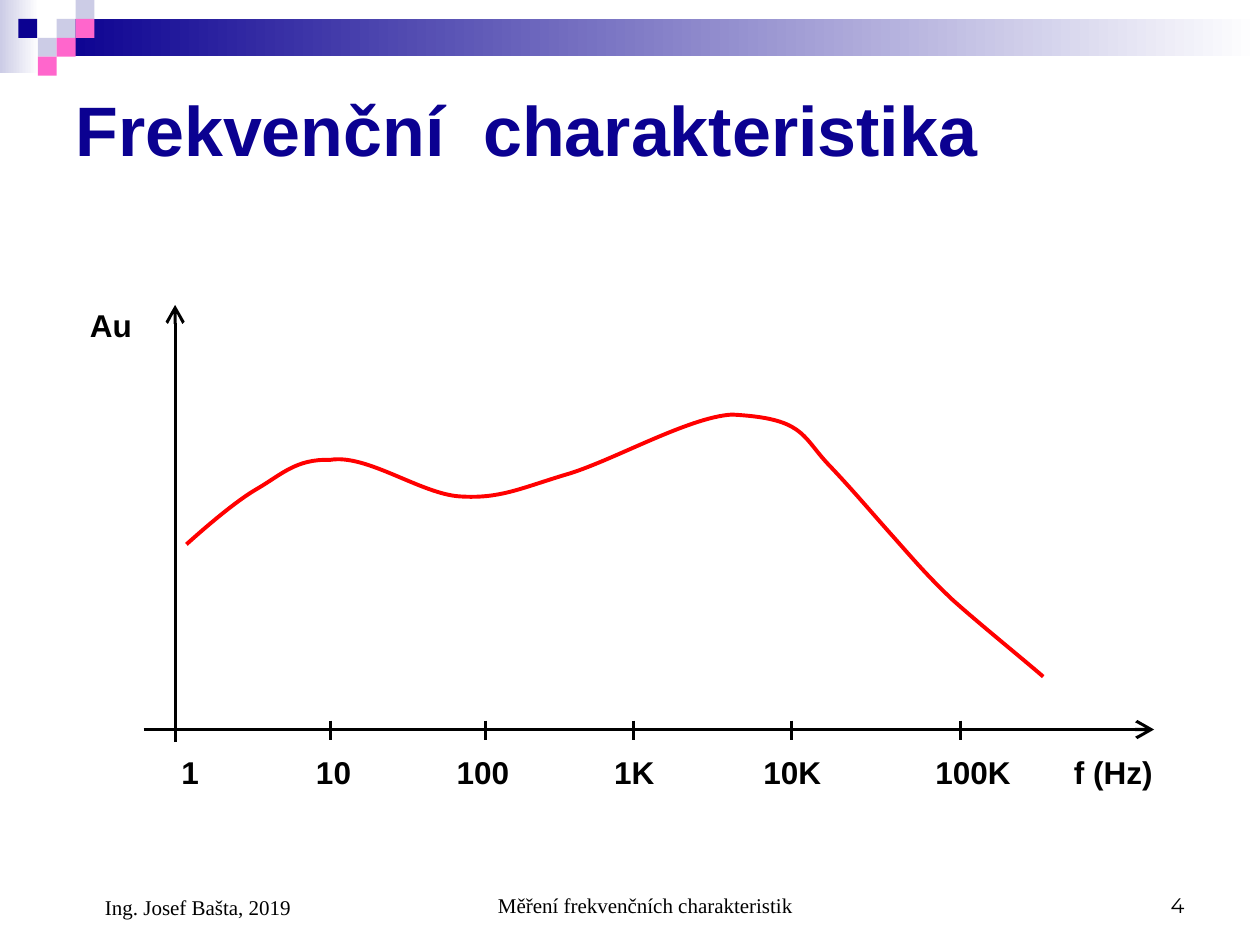
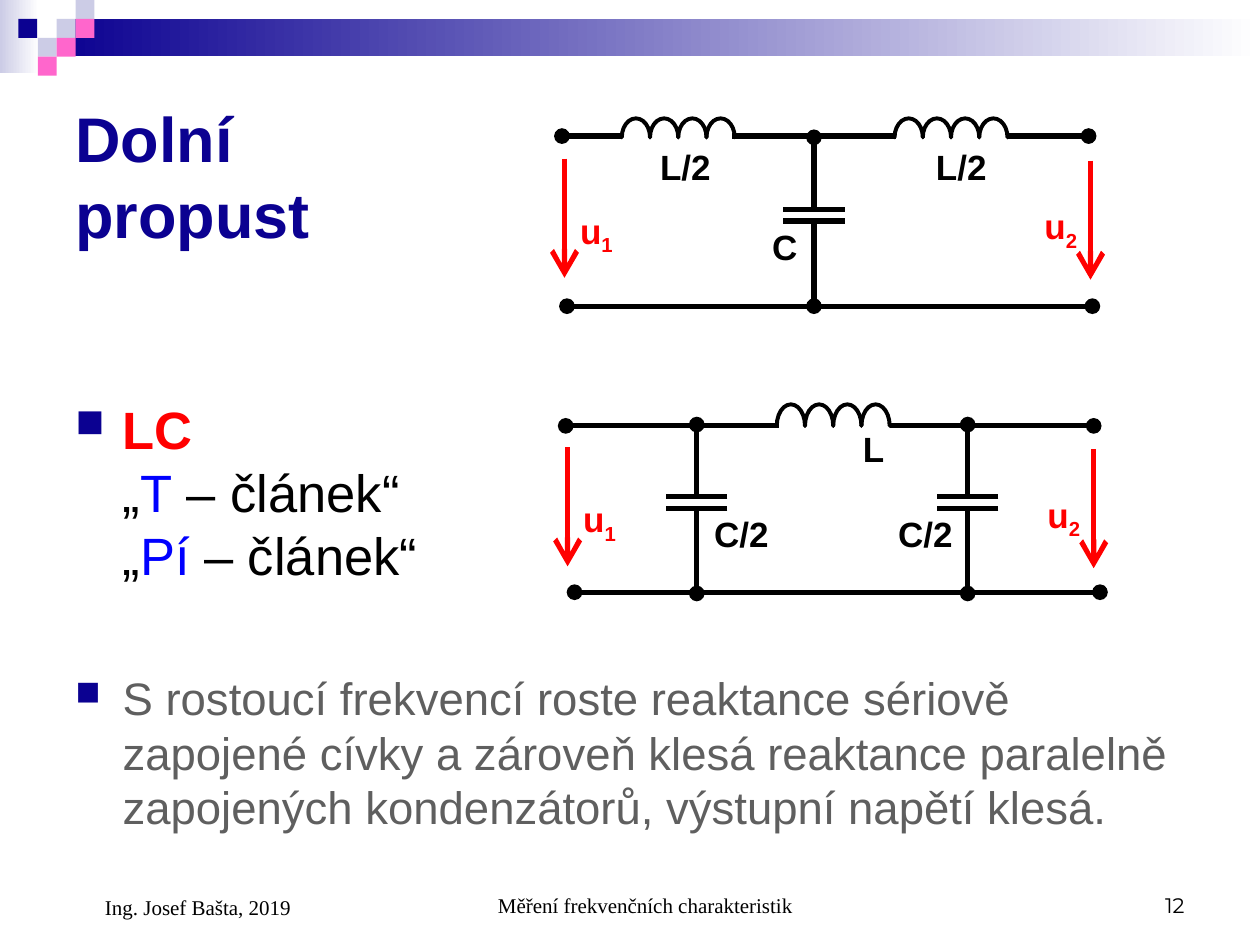
import pptx
import pptx.dml.color
import pptx.enum.shapes
import pptx.enum.text
import pptx.oxml.ns
import pptx.util
from lxml import etree

SLIDE_WIDTH, SLIDE_HEIGHT = pptx.util.Inches(10), pptx.util.Inches(7.5)
COLUMN, ROW = SLIDE_WIDTH / 100, SLIDE_HEIGHT / 75
NAVY, LILAC, PINK, COIL_FILL = "0B0191", "CCCCE6", "FF66CC", "CBBDFF"
BLACK, WHITE, RED, BLUE, GREY = "000000", "FFFFFF", "FF0000", "0000FF", "5F5F5F"
SHAPES = pptx.enum.shapes.MSO_SHAPE
ANCHOR = pptx.enum.text.MSO_ANCHOR
ALIGN = pptx.enum.text.PP_ALIGN
COIL_PITCH = 2.24


def color(hex_value):
    """Turn a hex string into a colour."""
    return pptx.dml.color.RGBColor.from_string(hex_value)


def across(columns):
    """Convert grid columns to a length."""
    return pptx.util.Emu(round(columns * COLUMN))


def down(rows):
    """Convert grid rows to a length."""
    return pptx.util.Emu(round(rows * ROW))


def box(column, row, columns, rows):
    """Convert a grid box to left, top, width and height."""
    return across(column), down(row), across(columns), down(rows)


def apply_format(target, values):
    """Set each attribute named in a dict of format values."""
    for name, value in values.items():
        setattr(target, name, value)


def add_element(parent, tag, **attributes):
    """Append a DrawingML element to a parent."""
    element = etree.SubElement(parent, pptx.oxml.ns.qn(tag))
    for name, value in attributes.items():
        element.set(name, str(value))
    return element


def add_block(slide, area, fill, fade_to=None):
    """Draw a borderless rectangle, plain or fading to the right."""
    shape = slide.shapes.add_shape(SHAPES.RECTANGLE, *box(*area))
    shape.shadow.inherit = False
    shape.line.fill.background()
    if fade_to:
        shape.fill.gradient()
        shape.fill.gradient_angle = 0
        for stop, tone in zip(shape.fill.gradient_stops, (fill, fade_to)):
            stop.color.rgb = color(tone)
    else:
        shape.fill.solid()
        shape.fill.fore_color.rgb = color(fill)


def add_bullet(paragraph):
    """Give a paragraph a hanging square bullet."""
    properties = paragraph._p.get_or_add_pPr()
    properties.set("marL", str(across(3.75)))
    properties.set("indent", str(-across(3.75)))
    add_element(add_element(properties, "a:buClr"), "a:srgbClr", val=NAVY)
    add_element(properties, "a:buSzPct", val=75000)
    add_element(properties, "a:buFont", typeface="Wingdings", charset=2)
    add_element(properties, "a:buChar", char="n")


def add_text(slide, area, runs, size, tone=BLACK, bold=False, font="Arial",
             anchor=ANCHOR.TOP, align=ALIGN.LEFT, indent=0, bullet=False):
    """Write one paragraph; runs are strings or (text, overrides) pairs."""
    frame = slide.shapes.add_textbox(*box(*area)).text_frame
    apply_format(frame, {"word_wrap": True, "vertical_anchor": anchor})
    paragraph = frame.paragraphs[0]
    paragraph.alignment = align
    if indent:
        paragraph._p.get_or_add_pPr().set("marL", str(across(indent)))
    if bullet:
        add_bullet(paragraph)
    for item in runs:
        text, changes = (item, {}) if isinstance(item, str) else item
        if changes.get("new_line"):
            paragraph.add_line_break()
        run = paragraph.add_run()
        run.text = text
        apply_format(run.font, {"name": font, "size": pptx.util.Pt(size),
                                "bold": changes.get("bold", bold)})
        run.font.color.rgb = color(changes.get("tone", tone))
        if "baseline" in changes:
            run._r.get_or_add_rPr().set("baseline", changes["baseline"])


def add_line(slide, start, end, width=3, tone=BLACK, head=None, tail=None):
    """Draw a straight line with optional end marks."""
    connector = slide.shapes.add_connector(
        pptx.enum.shapes.MSO_CONNECTOR.STRAIGHT,
        across(start[0]), down(start[1]), across(end[0]), down(end[1]))
    connector.line.color.rgb = color(tone)
    connector.line.width = pptx.util.Pt(width)
    outline = connector.line._get_or_add_ln()
    for tag, mark in (("a:headEnd", head), ("a:tailEnd", tail)):
        if mark:
            size = "lg" if mark == "arrow" else "med"
            add_element(outline, tag, type=mark, w=size, len=size)
    add_element(connector._element.spPr, "a:effectLst")


def add_curve(slide, start, segments, tone, width):
    """Draw a smooth open curve from cubic Bézier segments."""
    builder = slide.shapes.build_freeform(across(start[0]), down(start[1]), scale=1.0)
    builder.add_line_segments(
        [(across(segment[4]), down(segment[5])) for segment in segments], close=False)
    curve = builder.convert_to_shape()
    straight_parts = list(curve._element.iter(pptx.oxml.ns.qn("a:lnTo")))
    for part, segment in zip(straight_parts, segments):
        bend = etree.Element(pptx.oxml.ns.qn("a:cubicBezTo"))
        for x, y in zip(segment[::2], segment[1::2]):
            add_element(bend, "a:pt", x=across(x) - curve.left, y=down(y) - curve.top)
        part.getparent().replace(part, bend)
    curve.shadow.inherit = False
    curve.fill.background()
    curve.line.color.rgb = color(tone)
    curve.line.width = pptx.util.Pt(width)


def add_coil(slide, column, row, rows):
    """Draw an inductor as four half loops."""
    for loop in range(4):
        area = box(column + loop * COIL_PITCH, row, COIL_PITCH, rows)
        arc = slide.shapes.add_shape(SHAPES.BLOCK_ARC, *area)
        for index, value in enumerate((107.89, 0.11, 0)):
            arc.adjustments[index] = value
        arc.shadow.inherit = False
        arc.fill.solid()
        arc.fill.fore_color.rgb = color(COIL_FILL)
        arc.line.color.rgb = color(BLACK)
        arc.line.width = pptx.util.Pt(2.25)


def add_capacitor(slide, column, row):
    """Draw a capacitor with its two leads around the upper plate's row."""
    for plate in (row, row + 0.95):
        add_line(slide, (column + 2.43, plate), (column - 2.43, plate))
    add_line(slide, (column, row + 7.7), (column, row + 1.1), head="oval")
    add_line(slide, (column, row - 0.2), (column, row - 5.7), tail="oval")


def add_label(slide, column, row, text, columns=6.4):
    """Name a circuit part."""
    add_text(slide, (column, row, columns, 4.4), [text], 20, bold=True)


def add_ports(slide, column, row, base_column, base_row):
    """Draw the base wire and the input and output voltage arrows."""
    add_line(slide, (base_column + 41.7, base_row), (base_column, base_row),
             head="oval", tail="oval")
    ports = (("1", 0, 0, 0.25, 3.5), ("2", 41.75, 0.15, -4.65, 3.0))
    for number, shift, drop, label_shift, label_drop in ports:
        x, y = column + shift, row + drop
        add_line(slide, (x, y), (x, y + 9.45), tone=RED, tail="arrow")
        add_text(slide, (x + label_shift, y + label_drop, 5.5, 4.8),
                 ["u", (number, {"baseline": "-25000"})], 20, RED, bold=True)


def add_page(presentation, title, title_area, title_size, number):
    """Add a slide with the shared header, title and footers."""
    slide = presentation.slides.add_slide(presentation.slide_layouts[6])
    add_block(slide, (0, 0, 3.1, 5.8), LILAC, fade_to=WHITE)
    add_block(slide, (4.5, 1.5, 95.5, 2.95), NAVY, fade_to=WHITE)
    squares = ((4.5, 1.5, LILAC), (6, 0, LILAC), (6, 1.5, PINK), (3, 3, LILAC),
               (1.45, 1.5, NAVY), (4.5, 3, PINK), (3, 4.5, PINK))
    for column, row, tone in squares:
        add_block(slide, (column, row, 1.5, 1.5), tone)
    add_text(slide, title_area, [title], title_size, NAVY, bold=True,
             anchor=ANCHOR.MIDDLE)
    footers = (
        ((34.2, 68.3, 31.7, 5), "Měření frekvenčních charakteristik",
         "Times New Roman", ALIGN.CENTER, 2.35),
        ((71.7, 68.3, 23.3, 5), number, "Montserrat", ALIGN.RIGHT, 0),
        ((5, 68.3, 23.3, 5.2), "Ing. Josef Bašta, 2019",
         "Times New Roman", ALIGN.LEFT, 2.35))
    for area, text, font, align, indent in footers:
        add_text(slide, area, [text], 12, font=font, anchor=ANCHOR.BOTTOM,
                 align=align, indent=indent)
    return slide


def add_frequency_response(slide):
    """Draw the axes, ticks, labels and gain curve."""
    add_line(slide, (11.4, 57.9), (91.6, 57.9), 1.75, tail="arrow")
    add_line(slide, (13.9, 58.9), (13.9, 24.2), 1.75, tail="arrow")
    for column in (26.25, 38.55, 50.3, 62.8, 76.25):
        add_line(slide, (column, 57.2), (column, 58.7), 1.5)
    labels = (("1", 13.4, 59.3, 4.2), ("10", 24.1, 59.3, 5),
              ("100", 35.25, 59.3, 7.7), ("1K", 47.75, 59.3, 5.5),
              ("10K", 59.6, 59.3, 7.2), ("100K", 73.25, 59.3, 8.8),
              ("f (Hz)", 84.25, 59.3, 8.8), ("Au", 6.15, 23.8, 5.6))
    for text, column, row, columns in labels:
        add_text(slide, (column, row, columns, 4), [text], 18, bold=True)
    segments = ((15.7, 42.4, 18.5, 39.9, 20.4, 38.8),
                (22.3, 37.7, 23.5, 36.4, 26.2, 36.5),
                (29.1, 36, 33.4, 39.2, 36.5, 39.4),
                (39.6, 39.6, 41.2, 38.8, 44.8, 37.7),
                (48.4, 36.7, 54.6, 33.1, 58.1, 32.9),
                (63.7, 33.2, 63.6, 34.5, 65.6, 36.7),
                (67.7, 38.9, 69.2, 40.7, 70.9, 42.6),
                (72.5, 44.4, 73.6, 45.7, 75.6, 47.6),
                (77.6, 49.4, 81.3, 52.4, 82.8, 53.7))
    add_curve(slide, (14.8, 43.2), segments, RED, 2.25)


def add_t_section(slide):
    """Draw the T circuit with two coils and one capacitor."""
    add_ports(slide, 44.8, 12.6, 45, 24.3)
    add_line(slide, (49.4, 10.8), (44.6, 10.8), tail="oval")
    add_line(slide, (71.1, 10.8), (58.1, 10.8))
    add_line(slide, (86.4, 10.8), (79.9, 10.8), head="oval")
    add_capacitor(slide, 64.6, 16.6)
    add_label(slide, 60.3, 17.4, "C", 4.6)
    for column, label_column in ((49.35, 51.4), (71, 73.3)):
        add_coil(slide, column, 9.4, 3)
        add_label(slide, label_column, 11.05, "L/2")


def add_pi_section(slide):
    """Draw the Pi circuit with one coil and two capacitors."""
    add_ports(slide, 45.05, 35.5, 45.6, 47)
    add_line(slide, (61.8, 33.8), (44.9, 33.8), tail="oval")
    add_line(slide, (86.8, 33.8), (70.6, 33.8), head="oval")
    add_coil(slide, 61.65, 32.1, 3.4)
    add_label(slide, 67.5, 33.4, "L", 4.6)
    for column, label_column in ((55.3, 55.7), (76.8, 70.3)):
        add_capacitor(slide, column, 39.4)
        add_label(slide, label_column, 40.2, "C/2", 6.7)


def main():
    """Build and save the presentation."""
    presentation = pptx.Presentation()
    apply_format(presentation, {"slide_width": SLIDE_WIDTH,
                                "slide_height": SLIDE_HEIGHT})
    response = add_page(presentation, "Frekvenční  charakteristika",
                        (5, 5, 90, 10.35), 40, "4")
    add_frequency_response(response)

    low_pass = add_page(presentation, "Dolní propust", (5, 5, 28, 17.8), 36, "12")
    add_text(low_pass, (5, 52.7, 90, 14.1), [
        "S rostoucí frekvencí roste reaktance sériově zapojené cívky a zároveň "
        "klesá reaktance paralelně zapojených kondenzátorů, výstupní napětí klesá.",
    ], 26, GREY, bullet=True)
    add_t_section(low_pass)
    add_pi_section(low_pass)
    add_text(low_pass, (5, 31, 35, 18.7), [
        ("LC", {"bold": True, "tone": RED}),
        ("„", {"new_line": True}), ("T", {"tone": BLUE}), " – článek“",
        ("„", {"new_line": True}), ("Pí", {"tone": BLUE}), " – článek“",
    ], 30, bullet=True)
    presentation.save("out.pptx")


if __name__ == "__main__":
    main()
